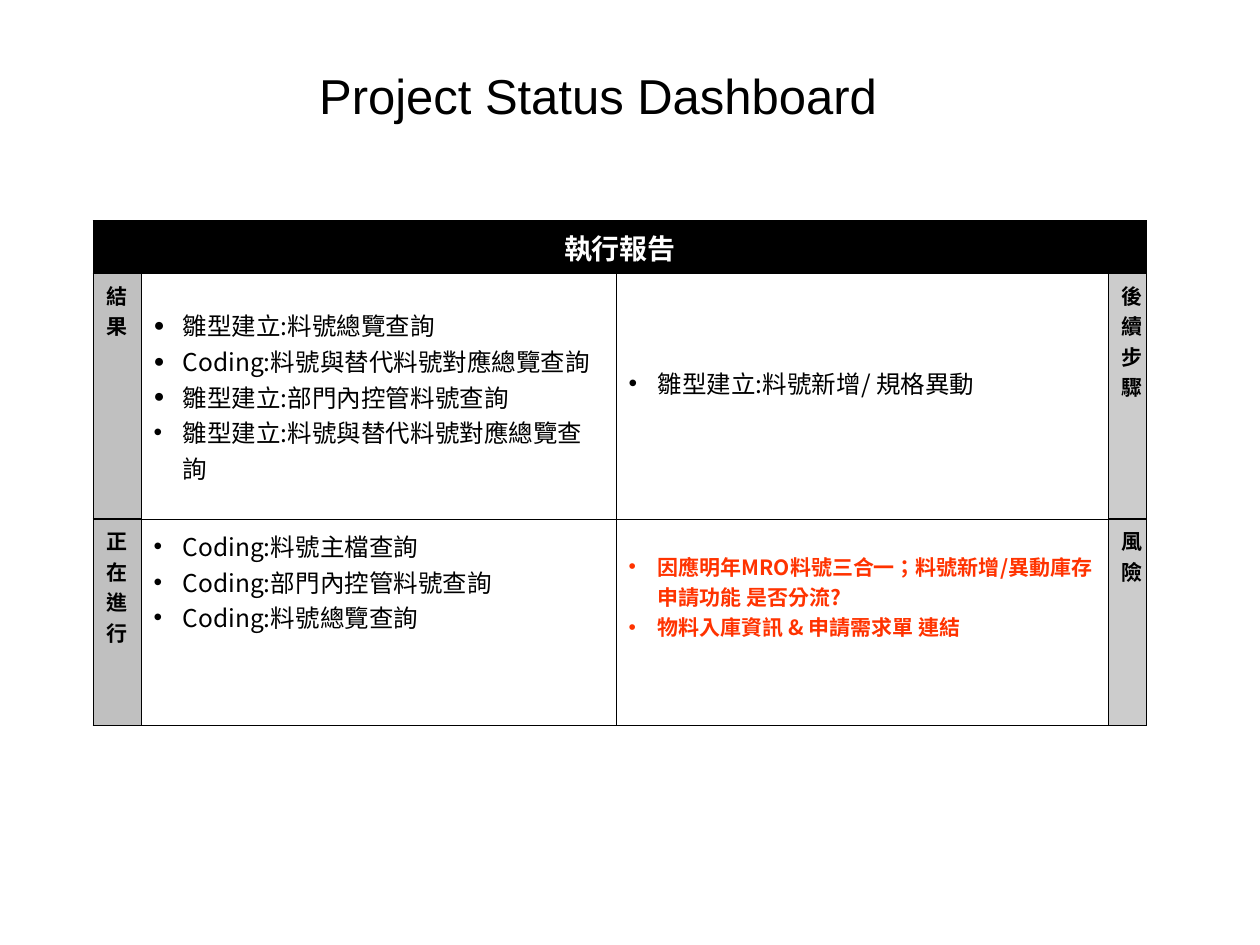
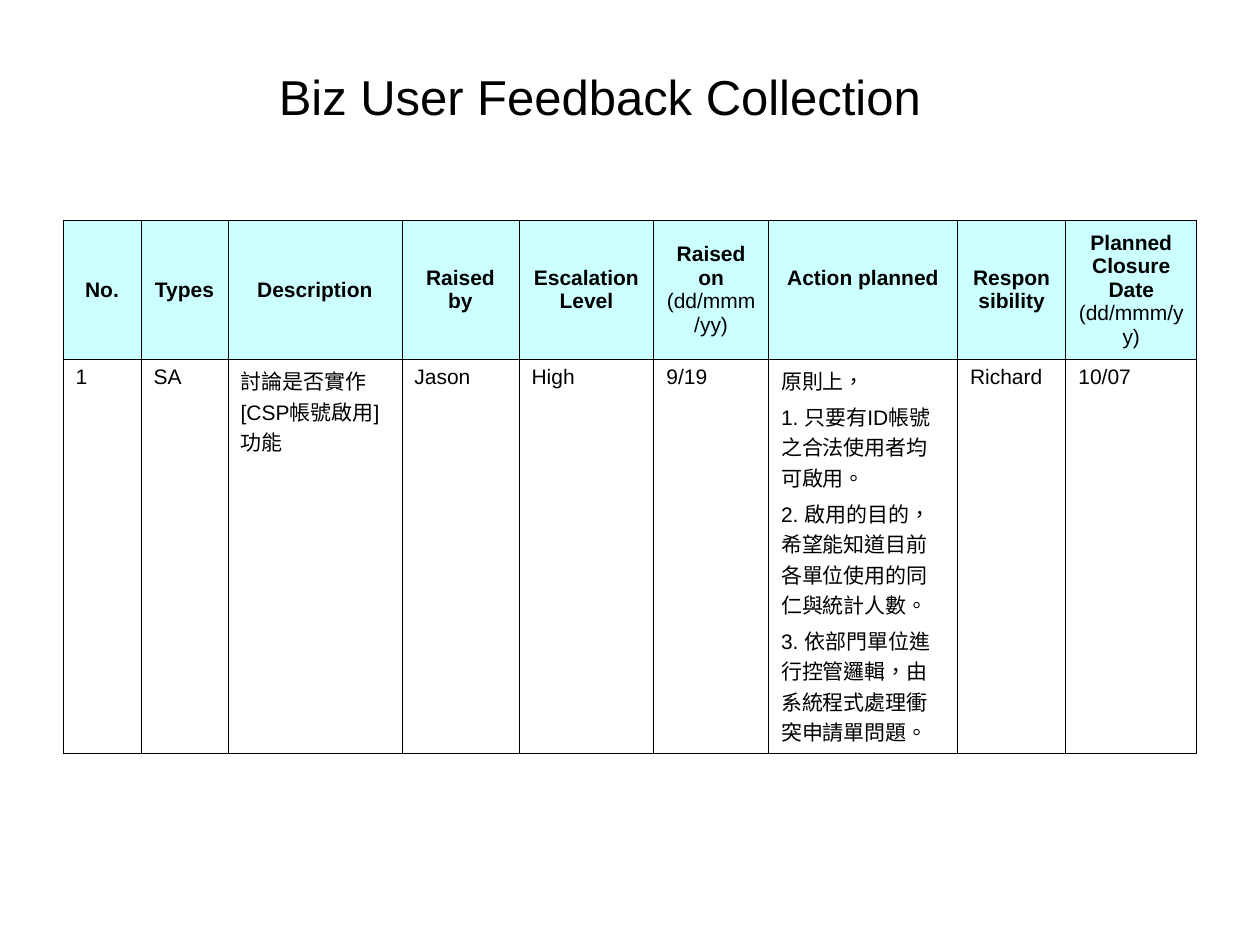
from dataclasses import dataclass

from lxml.etree import SubElement
from pptx import Presentation
from pptx.dml.color import RGBColor
from pptx.enum.text import MSO_ANCHOR, PP_ALIGN
from pptx.oxml.ns import qn
from pptx.util import Inches, Pt


@dataclass(frozen=True)
class Theme:
    latin: str = "Arial"
    cjk: str = "Noto Sans CJK TC"
    language: str = "zh-TW"
    ink: str = "000000"
    paper: str = "FFFFFF"
    alert: str = "FF3300"
    left_label: str = "C0C0C0"
    right_label: str = "CCCCCC"
    heading_band: str = "CCFFFF"
    title_size: float = 28
    banner_size: float = 16
    list_size: float = 14
    text_size: float = 12
    thin: float = 0.45
    thick: float = 0.96
    inset_x: float = 0.1
    inset_y: float = 0.05
    bullet_indent: float = 0.23


THEME = Theme()
DOT, DISC = ("•", 100), ("●", 75)

STATUS = {
    "title": "Project Status Dashboard ",
    "title_box": (0.5, 0.44, 8.6, 0.63),
    "origin": (0.74, 1.75),
    "columns": [0.38, 3.77, 3.91, 0.3],
    "rows": [0.42, 1.95, 1.64],
    "banner": "執行報告",
    "quadrants": [
        {
            "left_label": "結果",
            "left": [
                (DISC, "雛型建立:料號總覽查詢"),
                (DISC, "Coding:料號與替代料號對應總覽查詢"),
                (DISC, "雛型建立:部門內控管料號查詢"),
                (DOT, "雛型建立:料號與替代料號對應總覽查詢"),
            ],
            "left_place": {"anchor": MSO_ANCHOR.MIDDLE},
            "right": [(DOT, "雛型建立:料號新增/ 規格異動")],
            "right_place": {"anchor": MSO_ANCHOR.MIDDLE, "bottom": 0.27},
            "right_style": {"size": THEME.list_size},
            "right_label": "後續步驟",
        },
        {
            "left_label": "正在進行",
            "left": [
                (DOT, "Coding:料號主檔查詢"),
                (DOT, "Coding:部門內控管料號查詢"),
                (DOT, "Coding:料號總覽查詢"),
            ],
            "left_place": {"top": 0.07},
            "right": [
                (DOT, "因應明年MRO料號三合一；料號新增/異動庫存 申請功能 是否分流?"),
                (DOT, "物料入庫資訊 & 申請需求單 連結"),
            ],
            "right_place": {"top": 0.25},
            "right_style": {"size": THEME.text_size, "color": THEME.alert, "bold": True},
            "right_label": "風險",
        },
    ],
}

FEEDBACK = {
    "title": "Biz User Feedback Collection",
    "title_box": (0.43, 0.5, 8.66, 0.52),
    "origin": (0.5, 1.75),
    "columns": [0.62, 0.69, 1.38, 0.93, 1.07, 0.91, 1.5, 0.86, 1.04],
    "rows": [1.1, 2.63],
    "headings": [
        ("No.", None),
        ("Types", None),
        ("Description", None),
        ("Raised by", None),
        ("Escalation Level", None),
        ("Raised on", "(dd/mmm/yy)"),
        ("Action planned", None),
        ("Responsibility", None),
        ("Planned Closure Date", "(dd/mmm/yy)"),
    ],
    "raised_heading": "Action planned",
    "entries": [
        [
            ["1"],
            ["SA"],
            ["討論是否實作[CSP帳號啟用]功能"],
            ["Jason"],
            ["High"],
            ["9/19"],
            [
                "原則上，",
                "1. 只要有ID帳號之合法使用者均可啟用。",
                "2. 啟用的目的，希望能知道目前各單位使用的同仁與統計人數。",
                "3. 依部門單位進行控管邏輯，由系統程式處理衝突申請單問題。",
            ],
            ["Richard"],
            ["10/07"],
        ],
    ],
}


def add_run(paragraph, text, size, color=THEME.ink, bold=False, latin=THEME.latin):
    run = paragraph.add_run()
    run.text = text
    run.font.size = Pt(size)
    run.font.bold = bold
    run.font.name = latin
    run.font.color.rgb = RGBColor.from_string(color)
    run.font._element.set("lang", THEME.language)
    SubElement(run.font._element, qn("a:ea"), typeface=THEME.cjk)


def add_bullet(paragraph, mark, color):
    char, percent = mark
    props = paragraph._p.get_or_add_pPr()
    indent = Inches(THEME.bullet_indent)
    props.set("marL", str(indent))
    props.set("indent", str(-indent))
    tint = SubElement(props, qn("a:buClr"))
    SubElement(tint, qn("a:srgbClr"), val=color)
    SubElement(props, qn("a:buSzPct"), val=str(percent * 1000))
    SubElement(props, qn("a:buFont"), typeface=THEME.latin)
    SubElement(props, qn("a:buChar"), char=char)


def paragraphs(cell, count):
    frame = cell.text_frame
    return [frame.paragraphs[0]] + [frame.add_paragraph() for _ in range(count - 1)]


def write_bullets(cell, items, size, color=THEME.ink, bold=False):
    for paragraph, (mark, text) in zip(paragraphs(cell, len(items)), items):
        add_bullet(paragraph, mark, color)
        add_run(paragraph, text, size, color, bold, THEME.cjk)


def write_label(cell, text, size, color=THEME.ink, align=PP_ALIGN.CENTER):
    paragraph = cell.text_frame.paragraphs[0]
    paragraph.alignment = align
    add_run(paragraph, text, size, color, True, THEME.cjk)


def place(cell, anchor=MSO_ANCHOR.TOP, top=THEME.inset_y, bottom=THEME.inset_y):
    cell.vertical_anchor = anchor
    cell.margin_left = cell.margin_right = Inches(THEME.inset_x)
    cell.margin_top, cell.margin_bottom = Inches(top), Inches(bottom)


def paint(cell, color):
    cell.fill.solid()
    cell.fill.fore_color.rgb = RGBColor.from_string(color)


def draw_borders(cell, thick_sides=""):
    props = cell._tc.get_or_add_tcPr()
    for position, side in enumerate("LRTB"):
        width = THEME.thick if side in thick_sides else THEME.thin
        line = SubElement(props, qn(f"a:ln{side}"), w=str(Pt(width)))
        fill = SubElement(line, qn("a:solidFill"))
        SubElement(fill, qn("a:srgbClr"), val=THEME.ink)
        props.insert(position, line)


def add_titled_slide(deck, content):
    slide = deck.slides.add_slide(deck.slide_layouts[5])
    title = slide.shapes.title
    title.left, title.top, title.width, title.height = map(Inches, content["title_box"])
    frame = title.text_frame
    frame.word_wrap = True
    frame.vertical_anchor = MSO_ANCHOR.MIDDLE
    frame.margin_left = frame.margin_right = frame.margin_top = frame.margin_bottom = 0
    frame.paragraphs[0].alignment = PP_ALIGN.CENTER
    add_run(frame.paragraphs[0], content["title"], THEME.title_size)
    return slide


def add_grid(slide, content):
    columns, rows = content["columns"], content["rows"]
    extent = sum(columns), sum(rows)
    grid = slide.shapes.add_table(
        len(rows), len(columns), *map(Inches, content["origin"] + extent)
    ).table
    grid.first_row = grid.horz_banding = False
    for column, width in zip(grid.columns, columns):
        column.width = Inches(width)
    for row, height in zip(grid.rows, rows):
        row.height = Inches(height)
    for cell in grid.iter_cells():
        cell.fill.background()
        place(cell)
    return grid


def build_status(deck):
    grid = add_grid(add_titled_slide(deck, STATUS), STATUS)
    banner = grid.cell(0, 0)
    banner.merge(grid.cell(0, 3))
    paint(banner, THEME.ink)
    place(banner, MSO_ANCHOR.MIDDLE)
    write_label(banner, STATUS["banner"], THEME.banner_size, THEME.paper)

    for row, part in enumerate(STATUS["quadrants"], 1):
        left_label, left, right, right_label = (grid.cell(row, i) for i in range(4))
        paint(left_label, THEME.left_label)
        write_label(left_label, part["left_label"], THEME.text_size)
        place(left, **part["left_place"])
        write_bullets(left, part["left"], THEME.list_size)
        place(right, **part["right_place"])
        write_bullets(right, part["right"], **part["right_style"])
        paint(right_label, THEME.right_label)
        write_label(right_label, part["right_label"], THEME.text_size, align=PP_ALIGN.LEFT)

    for row in range(len(STATUS["rows"])):
        label_edges = ("", "B", "T")[row]
        for column, sides in enumerate(("L" + label_edges, "", "", "R" + label_edges)):
            draw_borders(grid.cell(row, column), sides)


def build_feedback(deck):
    grid = add_grid(add_titled_slide(deck, FEEDBACK), FEEDBACK)
    for column, (heading, date_format) in enumerate(FEEDBACK["headings"]):
        cell = grid.cell(0, column)
        paint(cell, THEME.heading_band)
        raised = heading == FEEDBACK["raised_heading"]
        place(cell, MSO_ANCHOR.MIDDLE, bottom=0.24 if raised else THEME.inset_y)
        paragraph = cell.text_frame.paragraphs[0]
        paragraph.alignment = PP_ALIGN.CENTER
        add_run(paragraph, heading, THEME.text_size, bold=True)
        if date_format:
            paragraph.add_line_break()
            add_run(paragraph, date_format, THEME.text_size)

    for row, entry in enumerate(FEEDBACK["entries"], 1):
        for column, lines in enumerate(entry):
            for paragraph, text in zip(paragraphs(grid.cell(row, column), len(lines)), lines):
                paragraph.space_before = Pt(3)
                add_run(paragraph, text, THEME.text_size)

    for cell in grid.iter_cells():
        draw_borders(cell)


def main():
    deck = Presentation()
    deck.slide_width, deck.slide_height = Inches(10), Inches(7.5)
    build_status(deck)
    build_feedback(deck)
    deck.save("out.pptx")


if __name__ == "__main__":
    main()
